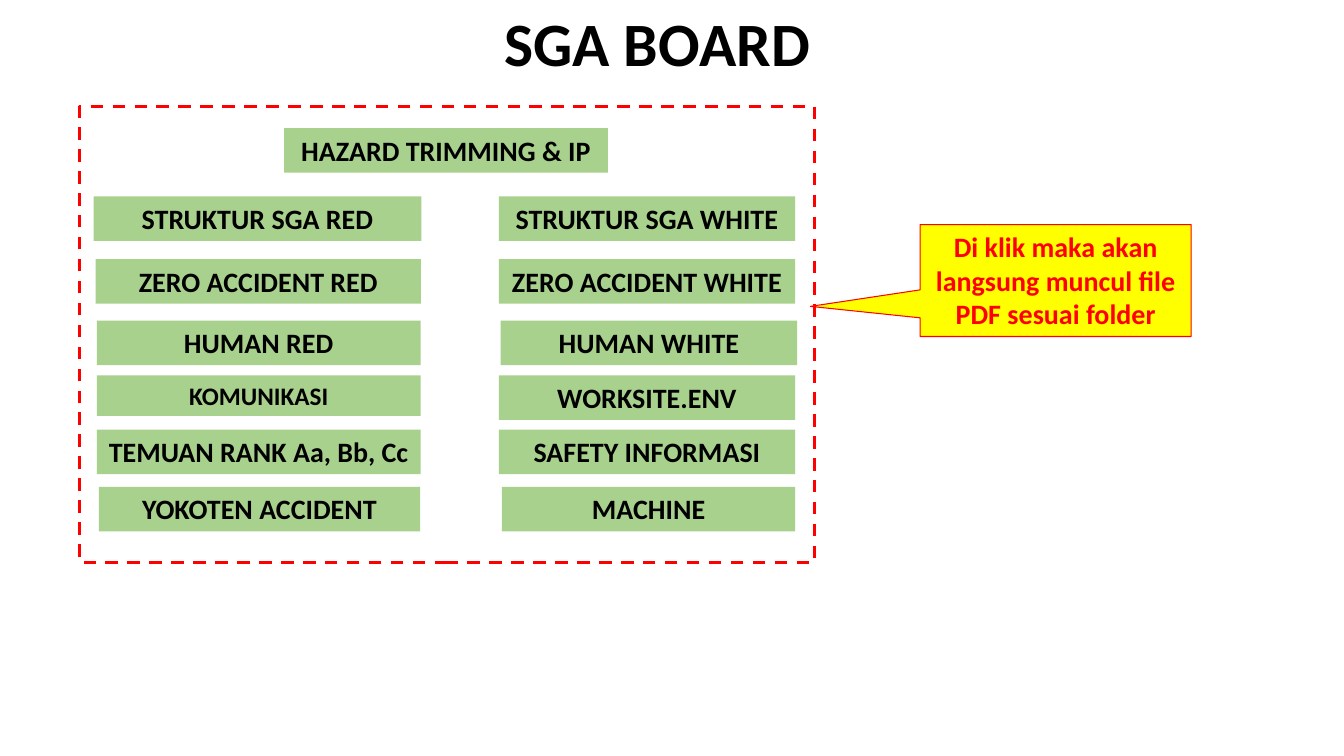
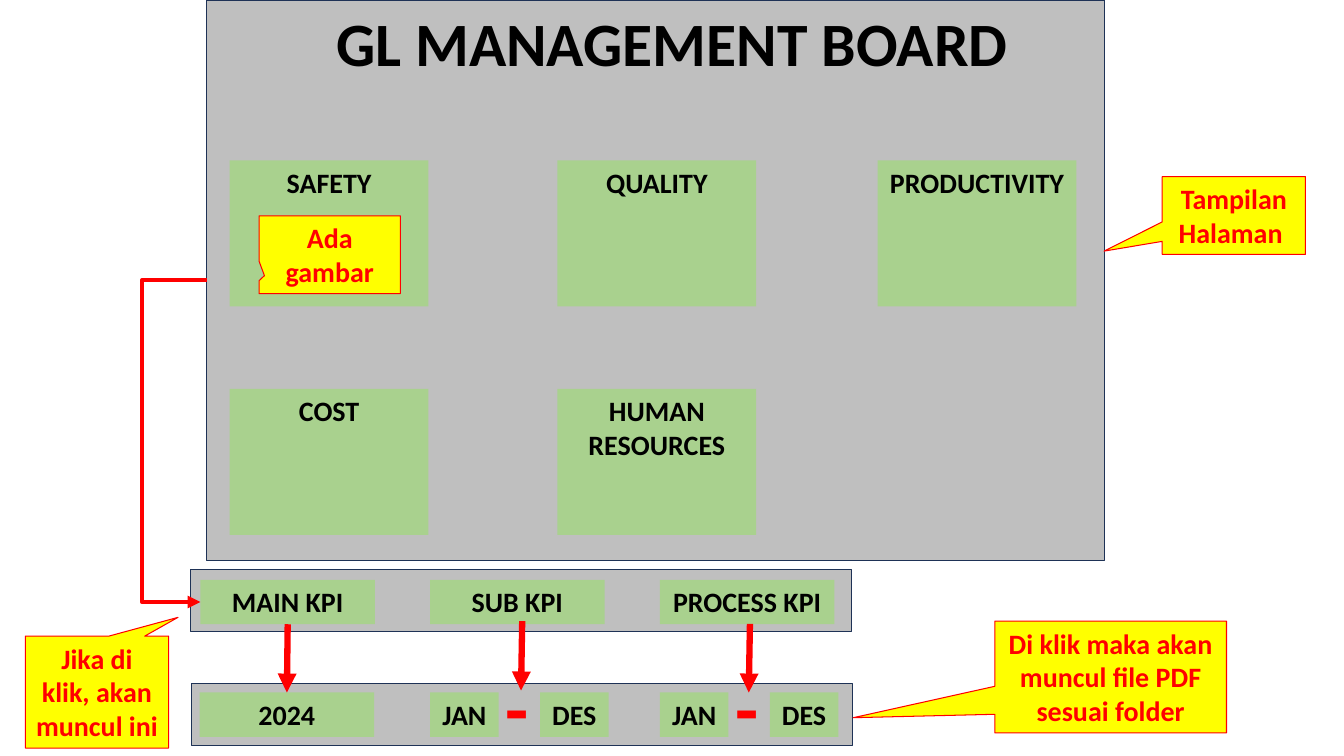
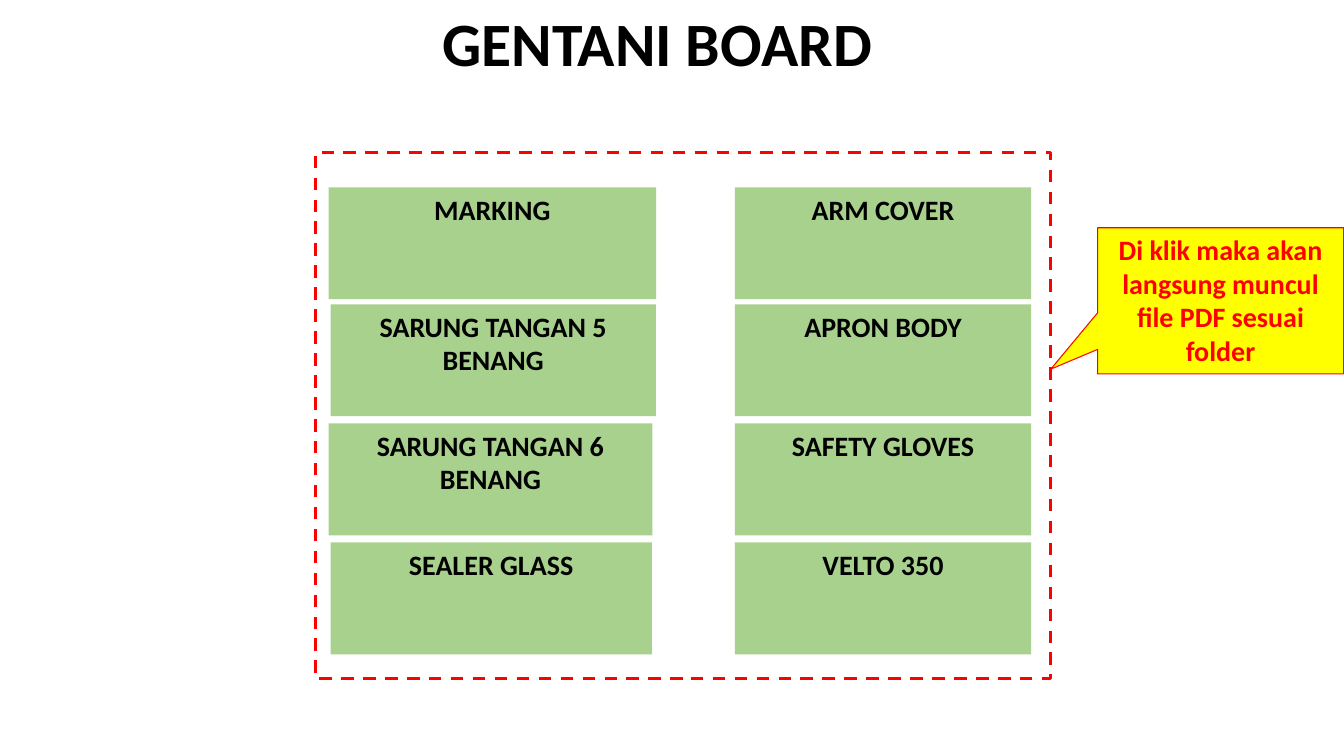
import pptx
import pptx.util
import pptx.dml.color
import pptx.enum.dml
import pptx.enum.shapes
import pptx.enum.text
import pptx.oxml
import pptx.oxml.ns

Cm = pptx.util.Cm
Pt = pptx.util.Pt
RGBColor = pptx.dml.color.RGBColor
SHAPE = pptx.enum.shapes.MSO_SHAPE
CONNECTOR = pptx.enum.shapes.MSO_CONNECTOR

GREEN = RGBColor(0xA9, 0xD1, 0x8E)
GREY = RGBColor(0xBF, 0xBF, 0xBF)
NAVY = RGBColor(0x1E, 0x32, 0x56)
YELLOW = RGBColor(0xFF, 0xFF, 0x00)
RED = RGBColor(0xFF, 0x00, 0x00)
BLACK = RGBColor(0x00, 0x00, 0x00)
FONT = "Calibri"

SGA = {
    "title": "SGA BOARD",
    "frame": (2.01, 2.69, 18.52, 11.48),
    "height": 1.12,
    "tops": (4.95, 6.53, 8.08, 9.46, 10.83, 12.27),
    "left": [
        ("STRUKTUR SGA RED", 2.36, 8.26),
        ("ZERO ACCIDENT RED", 2.41, 8.2),
        ("HUMAN RED", 2.44, 8.16),
        ("KOMUNIKASI", 2.44, 8.16),
        ("TEMUAN RANK Aa, Bb, Cc", 2.44, 8.16),
        ("YOKOTEN ACCIDENT", 2.49, 8.1),
    ],
    "right": [
        ("STRUKTUR SGA WHITE", 12.57, 7.47),
        ("ZERO ACCIDENT WHITE", 12.57, 7.47),
        ("HUMAN WHITE", 12.62, 7.47),
        ("WORKSITE.ENV", 12.57, 7.47),
        ("SAFETY INFORMASI", 12.57, 7.47),
        ("MACHINE", 12.65, 7.39),
    ],
    "callout": ("Di klik maka akan langsung muncul file PDF sesuai folder",
                (23.19, 5.66, 6.83, 2.82), (-0.905, 0.231)),
}
SGA_HEADING = ("HAZARD TRIMMING & IP", (7.16, 3.23, 8.16, 1.12))
SMALL_LABELS = {"KOMUNIKASI": (18, 1.02)}

GENTANI = {
    "title": "GENTANI BOARD",
    "frame": (7.95, 3.84, 18.52, 13.26),
    "height": 2.82,
    "tops": (4.72, 7.67, 10.67, 13.67),
    "left": [
        ("MARKING", 8.28, 8.26),
        ("SARUNG TANGAN 5 BENANG", 8.33, 8.2),
        ("SARUNG TANGAN 6 BENANG", 8.28, 8.16),
        ("SEALER GLASS", 8.33, 8.1),
    ],
    "right": [(label, 18.52, 7.47) for label in
              ("ARM COVER", "APRON BODY", "SAFETY GLOVES", "VELTO 350")],
    "callout": ("Di klik maka akan langsung muncul file PDF sesuai folder",
                (27.66, 5.74, 6.2, 3.68), (-0.69, 0.468)),
}

GL_TITLE = "GL MANAGEMENT BOARD"
GL_BANDS = [(4.83, 17.22, 16.66, 1.57), (4.8, 14.35, 16.66, 1.57)]
GL_PANEL = (5.21, 0, 22.63, 14.12)
GL_TOPICS = [["SAFETY", "QUALITY", "PRODUCTIVITY"], ["COST", "HUMAN RESOURCES"]]
TOPIC_LEFTS = (5.79, 14.05, 22.12)
TOPIC_TOPS = (4.04, 9.8)
TOPIC_SIZE = (5.01, 3.68)
KPIS = ["MAIN KPI", "SUB KPI", "PROCESS KPI"]
KPI_LEFT, KPI_STEP, KPI_WIDTH, KPI_HEIGHT = 5.05, 5.79, 4.4, 1.12
KPI_TOP, PERIOD_TOP = 14.61, 17.45
MONTHS = [("JAN", 0), ("DES", 2.77)]
MONTH_WIDTH = 1.73
ELBOW_LEFT = 3.58
GL_ARROWS = [((13.16, 15.65), (13.13, 17.4)), ((18.9, 15.72), (18.87, 17.45))]
GL_CALLOUTS = [
    ("Ada gambar", (6.53, 5.44, 3.56, 1.96), (-0.462, 0.269)),
    ("Tampilan Halaman ", (29.29, 4.45, 3.61, 1.96), (-0.906, 0.459)),
    ("Jika di klik, akan muncul ini", (0.64, 16.03, 3.61, 2.82), (0.566, -0.668)),
    ("Di klik maka akan muncul file PDF sesuai folder",
     (25.07, 15.65, 5.84, 2.82), (-1.111, 0.364)),
]


def write(box, text, size=20, color=BLACK):
    frame = box.text_frame
    frame.word_wrap = True
    frame.auto_size = pptx.enum.text.MSO_AUTO_SIZE.NONE
    frame.vertical_anchor = pptx.enum.text.MSO_ANCHOR.TOP
    para = frame.paragraphs[0]
    para.alignment = pptx.enum.text.PP_ALIGN.CENTER
    span = para.add_run()
    span.text = text
    span.font.name = FONT
    span.font.size = Pt(size)
    span.font.bold = True
    span.font.color.rgb = color


def add_box(page, place, kind=SHAPE.RECTANGLE, fill=None, line=None, weight=1):
    box = page.shapes.add_shape(kind, *map(Cm, place))
    box.shadow.inherit = False
    if fill is None:
        box.fill.background()
    else:
        box.fill.solid()
        box.fill.fore_color.rgb = fill
    if line is None:
        box.line.fill.background()
    else:
        box.line.color.rgb = line
        box.line.width = Pt(weight)
    return box


def add_label(page, text, place, size=20):
    box = add_box(page, place, fill=GREEN)
    write(box, text, size=size)
    return box


def add_callout(page, text, place, tip):
    box = add_box(page, place, SHAPE.RECTANGULAR_CALLOUT, YELLOW, RED, 0.75)
    box.adjustments[0], box.adjustments[1] = tip
    write(box, text, color=RED)


def add_title(page, text, left=8.33, width=16.48):
    title = page.shapes.title
    title.left, title.top, title.width, title.height = map(Cm, (left, 0, width, 2.13))
    write(title, text, size=44)
    page.shapes.element.append(title.element)


def add_arrow(page, start=(0, 0), end=(0, 0), kind=CONNECTOR.STRAIGHT, weight=4.5):
    arrow = page.shapes.add_connector(kind, *map(Cm, start + end))
    arrow.line.color.rgb = RED
    arrow.line.width = Pt(weight)
    outline = arrow.element.spPr.find(pptx.oxml.ns.qn("a:ln"))
    head = pptx.oxml.parse_xml(
        '<a:tailEnd %s type="triangle"/>' % pptx.oxml.ns.nsdecls("a"))
    outline.append(head)
    effects = pptx.oxml.parse_xml('<a:effectLst %s/>' % pptx.oxml.ns.nsdecls("a"))
    outline.addnext(effects)
    return arrow


def bend_at(arrow, ratio):
    guide = pptx.oxml.parse_xml(
        '<a:gd %s name="adj1" fmla="val %d"/>'
        % (pptx.oxml.ns.nsdecls("a"), round(ratio * 100000)))
    geometry = arrow.element.spPr.find(pptx.oxml.ns.qn("a:prstGeom"))
    geometry.find(pptx.oxml.ns.qn("a:avLst")).append(guide)


def fill_board(page, board):
    add_title(page, board["title"])
    for side in ("left", "right"):
        for top, (label, left, width) in zip(board["tops"], board[side]):
            size, height = SMALL_LABELS.get(label, (20, board["height"]))
            add_label(page, label, (left, top, width, height), size=size)
    frame = add_box(page, board["frame"], line=RED, weight=2.25)
    frame.line.dash_style = pptx.enum.dml.MSO_LINE.DASH
    add_callout(page, *board["callout"])


def fill_management_board(page):
    for place in GL_BANDS:
        add_box(page, place, fill=GREY, line=NAVY)
    panel = add_box(page, GL_PANEL, fill=GREY, line=NAVY)
    add_title(page, GL_TITLE, left=7.7, width=18.49)
    for top, topics in zip(TOPIC_TOPS, GL_TOPICS):
        for left, topic in zip(TOPIC_LEFTS, topics):
            add_label(page, topic, (left, top) + TOPIC_SIZE)

    lefts = [KPI_LEFT + column * KPI_STEP for column in range(len(KPIS))]
    kpi_boxes = [add_label(page, kpi, (left, KPI_TOP, KPI_WIDTH, KPI_HEIGHT))
                 for left, kpi in zip(lefts, KPIS)]
    year_box = add_label(page, "2024", (5.03, PERIOD_TOP, KPI_WIDTH, KPI_HEIGHT))
    for left in lefts[1:]:
        for month, offset in MONTHS:
            add_label(page, month, (left + offset, PERIOD_TOP, MONTH_WIDTH, KPI_HEIGHT))
        dash = page.shapes.add_textbox(*map(Cm, (left + 1.32, 16.54, MONTH_WIDTH, 2.57)))
        write(dash, "-", size=54, color=RED)

    elbow = add_arrow(page, kind=CONNECTOR.ELBOW, weight=3)
    elbow.begin_connect(panel, 1)
    elbow.end_connect(kpi_boxes[0], 1)
    bend_at(elbow, (GL_PANEL[0] - ELBOW_LEFT) / (GL_PANEL[0] - KPI_LEFT))
    year_arrow = add_arrow(page)
    year_arrow.begin_connect(kpi_boxes[0], 2)
    year_arrow.end_connect(year_box, 0)
    for start, end in GL_ARROWS:
        add_arrow(page, start, end)
    for callout in GL_CALLOUTS:
        add_callout(page, *callout)


def main():
    deck = pptx.Presentation()
    deck.slide_width, deck.slide_height = Cm(33.87), Cm(19.05)
    sga, management, gentani = [
        deck.slides.add_slide(deck.slide_layouts[5]) for _ in range(3)]
    add_label(sga, *SGA_HEADING)
    fill_board(sga, SGA)
    fill_management_board(management)
    fill_board(gentani, GENTANI)
    deck.save("out.pptx")


if __name__ == "__main__":
    main()
